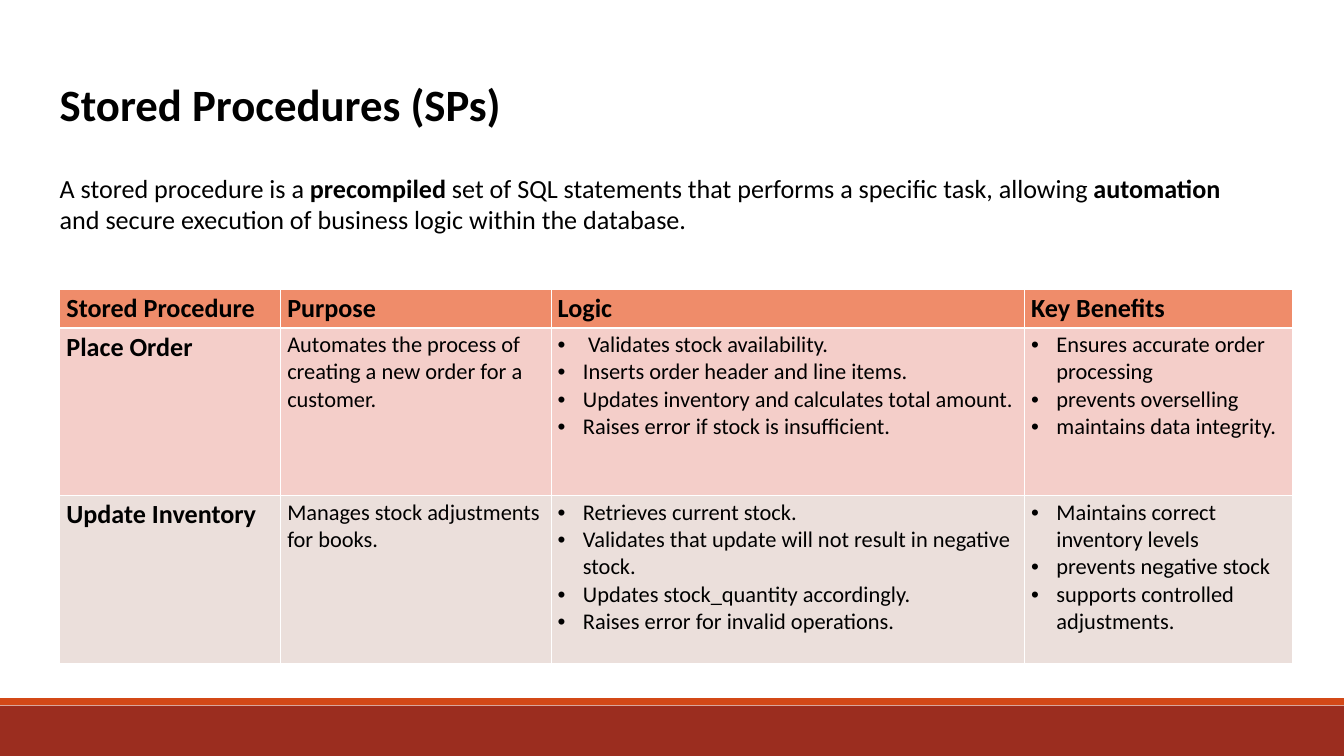
from pptx import Presentation
from pptx.dml.color import RGBColor
from pptx.enum.shapes import MSO_SHAPE
from pptx.enum.text import MSO_ANCHOR, MSO_AUTO_SIZE, PP_ALIGN
from pptx.oxml import parse_xml
from pptx.oxml.ns import nsdecls
from pptx.util import Pt

HUES = {"ink": "000000", "white": "FFFFFF", "band": "9B2D1F", "stripe": "D34817",
        "head": "EF8C6A", "rose": "F4CEC9", "sand": "EBDFDB"}


def write(frame, text, size=28, bold=False, bullet=False, space=None, inset=None):
    frame.word_wrap = True
    if inset is not None:
        frame.auto_size = MSO_AUTO_SIZE.NONE
        frame.vertical_anchor = MSO_ANCHOR.TOP
        frame.margin_left = frame.margin_right = Pt(inset)
        frame.margin_top = frame.margin_bottom = Pt(inset)
    for i, line in enumerate(text.split("\n")):
        para = frame.paragraphs[0] if i == 0 else frame.add_paragraph()
        para.alignment = PP_ALIGN.LEFT
        if space:
            para.line_spacing = Pt(space)
        if bullet:
            props = para._p.get_or_add_pPr()
            props.set("marL", str(Pt(27)))
            props.set("indent", str(-Pt(27)))
            props.append(parse_xml(f'<a:buFont {nsdecls("a")} typeface="Arial"/>'))
            props.append(parse_xml(f'<a:buChar {nsdecls("a")} char="•"/>'))
        for j, part in enumerate(line.split("**")):
            run = para.add_run()
            run.text = part
            run.font.name = "Calibri"
            run.font.size = Pt(size)
            run.font.bold = bold or j % 2 == 1
            run.font.color.rgb = RGBColor.from_string(HUES["ink"])


def edge(cell, sides):
    props = cell._tc.get_or_add_tcPr()
    for i, (side, width) in enumerate(sides.items()):
        props.insert(i, parse_xml(
            f'<a:ln{side} {nsdecls("a")} w="{Pt(width)}"><a:solidFill>'
            f'<a:srgbClr val="{HUES["white"]}"/></a:solidFill></a:ln{side}>'))


deck = Presentation()
deck.slide_width, deck.slide_height = Pt(1440), Pt(810)
slide = deck.slides.add_slide(deck.slide_layouts[5])
left = Pt(64)

for hue, top, height in [("band", 756, 54), ("stripe", 748, 7.5)]:
    bar = slide.shapes.add_shape(MSO_SHAPE.RECTANGLE, 0, Pt(top), Pt(1440), Pt(height))
    bar.shadow.inherit = False
    bar.fill.solid()
    bar.fill.fore_color.rgb = RGBColor.from_string(HUES[hue])
    bar.line.fill.background()

title = slide.shapes.title
title.left, title.top, title.width, title.height = left, Pt(38), Pt(705), Pt(91.5)
write(title.text_frame, "Stored Procedures (SPs)", size=48, bold=True, space=102, inset=0)

rows = [
    ["Stored Procedure", "Purpose", "Logic", "Key Benefits"],
    ["Place Order",
     "Automates the process of creating a new order for a customer.",
     " Validates stock availability.\nInserts order header and line items.\n"
     "Updates inventory and calculates total amount.\nRaises error if stock is insufficient.",
     "Ensures accurate order processing\nprevents overselling\nmaintains data integrity."],
    ["Update Inventory",
     "Manages stock adjustments for books.",
     "Retrieves current stock.\nValidates that update will not result in negative stock.\n"
     "Updates stock_quantity accordingly.\nRaises error for invalid operations.",
     "Maintains correct inventory levels\nprevents negative stock\nsupports controlled adjustments."],
]
widths = [236.6, 289.8, 507.3, 287.3]
heights = [41, 179.6, 179.6]
table = slide.shapes.add_table(3, 4, left, Pt(309.8), Pt(sum(widths)), Pt(sum(heights))).table
for col, width in zip(table.columns, widths):
    col.width = Pt(width)
for r, (row, height, hue) in enumerate(zip(rows, heights, ["head", "rose", "sand"])):
    table.rows[r].height = Pt(height)
    for c, text in enumerate(row):
        cell = table.cell(r, c)
        cell.fill.solid()
        cell.fill.fore_color.rgb = RGBColor.from_string(HUES[hue])
        edge(cell, {"L": 1, "R": 1, "T": 3 if r == 1 else 1, "B": 3 if r == 0 else 1})
        key = r == 0 or c == 0
        write(cell.text_frame, text, size=28 if key else 24, bold=key,
              bullet=r > 0 and c > 1)

intro = slide.shapes.add_textbox(left, Pt(184.5), Pt(1284.5), Pt(67.7))
write(intro.text_frame,
      "A stored procedure is a **precompiled** set of SQL statements that performs a specific "
      "task, allowing **automation** and secure execution of business logic within the database.",
      inset=0)

deck.save("out.pptx")
